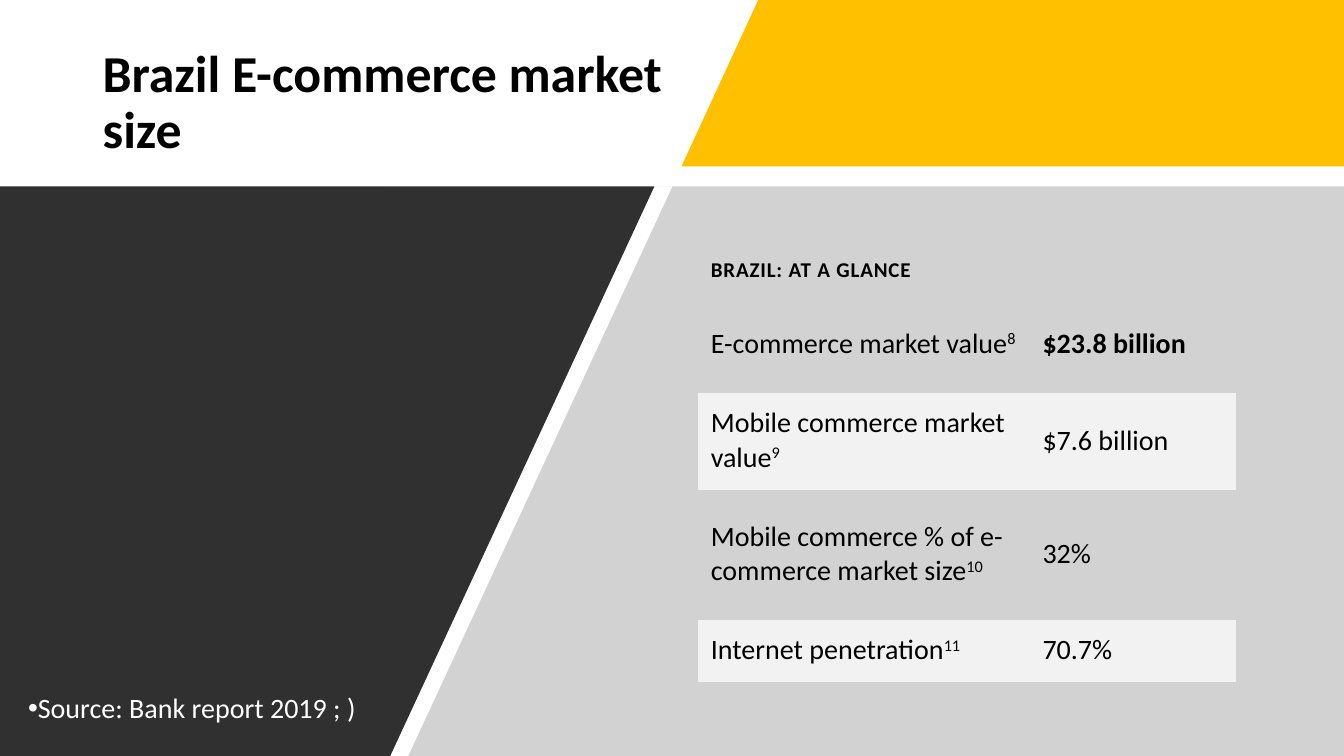
from lxml.etree import SubElement
from pptx import Presentation
from pptx.dml.color import RGBColor
from pptx.enum.text import MSO_ANCHOR as Anchor
from pptx.oxml.ns import qn
from pptx.util import Inches, Pt

COLORS = {
    "black": "000000",
    "white": "FFFFFF",
    "yellow": "FFC000",
    "gray": "A6A6A6",
    "charcoal": "303030",
    "band": "F2F2F2",
}
FONT = "Calibri"
PLAIN_TABLE_STYLE = "{2D5ABB26-0587-4C30-8999-92F81FD0307C}"
COLUMN_WIDTHS = [3.29, 2.05]
ROW_HEIGHTS = [0.56, 0.96, 0.96, 1.29, 0.62]
HEADING = "BRAZIL: AT A GLANCE"
METRICS = [
    ("E-commerce market value", "8", "$23.8 billion"),
    ("Mobile commerce market value", "9", "$7.6 billion"),
    ("Mobile commerce % of e-commerce market size", "10", "32%"),
    ("Internet penetration", "11", "70.7%"),
]


def rgb(name):
    return RGBColor.from_string(COLORS[name])


def add_run(p, text, size, color="black", bold=False, baseline=None, spacing=None):
    r = p.add_run()
    r.text = text
    r.font.name = FONT
    r.font.size = Pt(size)
    r.font.bold = bold
    r.font.color.rgb = rgb(color)
    for key, value in (("baseline", baseline), ("spc", spacing)):
        if value is not None:
            r.font._element.set(key, str(value))


def add_text(s, box, text, size, color, bold=False):
    tf = s.shapes.add_textbox(*map(Inches, box)).text_frame
    tf.word_wrap = True
    tf.vertical_anchor = Anchor.MIDDLE
    p = tf.paragraphs[0]
    p.line_spacing = 0.9
    add_run(p, text, size, color, bold)
    return p


def add_bullet(p):
    pPr = p._p.get_or_add_pPr()
    pPr.set("marL", "0")
    pPr.set("indent", str(-Inches(0.25)))
    SubElement(pPr, qn("a:buFont")).set("typeface", "Arial")
    SubElement(pPr, qn("a:buChar")).set("char", "•")


def add_panel(s, points, color, alpha=None):
    corners = [(Inches(x), Inches(y)) for x, y in points]
    builder = s.shapes.build_freeform(*corners[0])
    builder.add_line_segments(corners[1:], close=True)
    sp = builder.convert_to_shape()
    sp.shadow.inherit = False
    sp.fill.solid()
    sp.fill.fore_color.rgb = rgb(color)
    sp.line.fill.background()
    if alpha is not None:
        srgb = sp._element.spPr.find(".//" + qn("a:srgbClr"))
        SubElement(srgb, qn("a:alpha")).set("val", str(alpha * 1000))


def format_cell(cell, banded, top=0.11, anchor=Anchor.MIDDLE):
    cell.margin_left = cell.margin_right = cell.margin_bottom = Inches(0.13)
    cell.margin_top = Inches(top)
    cell.vertical_anchor = anchor
    if banded:
        cell.fill.solid()
        cell.fill.fore_color.rgb = rgb("band")
    else:
        cell.fill.background()
    return cell.text_frame.paragraphs[0]


def add_glance_table(s):
    frame = s.shapes.add_table(
        len(ROW_HEIGHTS), len(COLUMN_WIDTHS), Inches(6.92), Inches(2.38),
        Inches(sum(COLUMN_WIDTHS)), Inches(sum(ROW_HEIGHTS)))
    table = frame.table
    table.first_row = table.horz_banding = False
    table._tbl.tblPr.find(qn("a:tableStyleId")).text = PLAIN_TABLE_STYLE
    for column, width in zip(table.columns, COLUMN_WIDTHS):
        column.width = Inches(width)
    for row, height in zip(table.rows, ROW_HEIGHTS):
        row.height = Inches(height)

    heading = format_cell(table.cell(0, 0), False, 0.13, Anchor.BOTTOM)
    add_run(heading, HEADING, 15, bold=True, spacing=60)
    table.cell(0, 1).fill.background()
    for i, (label, note, value) in enumerate(METRICS, start=1):
        banded = i % 2 == 0
        p = format_cell(table.cell(i, 0), banded)
        add_run(p, label, 20)
        add_run(p, note, 20, baseline=30000)
        p = format_cell(table.cell(i, 1), banded)
        add_run(p, value, 20, bold=i == 1)


def main():
    prs = Presentation()
    prs.slide_width = Inches(13.33)
    prs.slide_height = Inches(7.5)
    s = prs.slides.add_slide(prs.slide_layouts[6])

    add_text(s, (0.92, 0.4, 5.84, 1.25), "Brazil E-commerce market size",
             37, "black", bold=True)
    add_panel(s, [(7.52, 0), (13.33, 0), (13.33, 1.65), (6.76, 1.65)], "yellow")
    add_panel(s, [(3.81, 1.85), (13.33, 1.85), (13.33, 7.5), (4.05, 7.5),
                  (6.67, 1.85)], "gray", alpha=50)
    add_panel(s, [(0, 1.85), (6.49, 1.85), (3.87, 7.5), (0, 7.5)], "charcoal")
    source = add_text(s, (0.18, 6.76, 3.94, 0.56), "Source: Bank report 2019 ; )",
                      20, "white")
    source.space_after = Pt(6)
    add_bullet(source)
    add_glance_table(s)
    prs.save("out.pptx")


if __name__ == "__main__":
    main()
